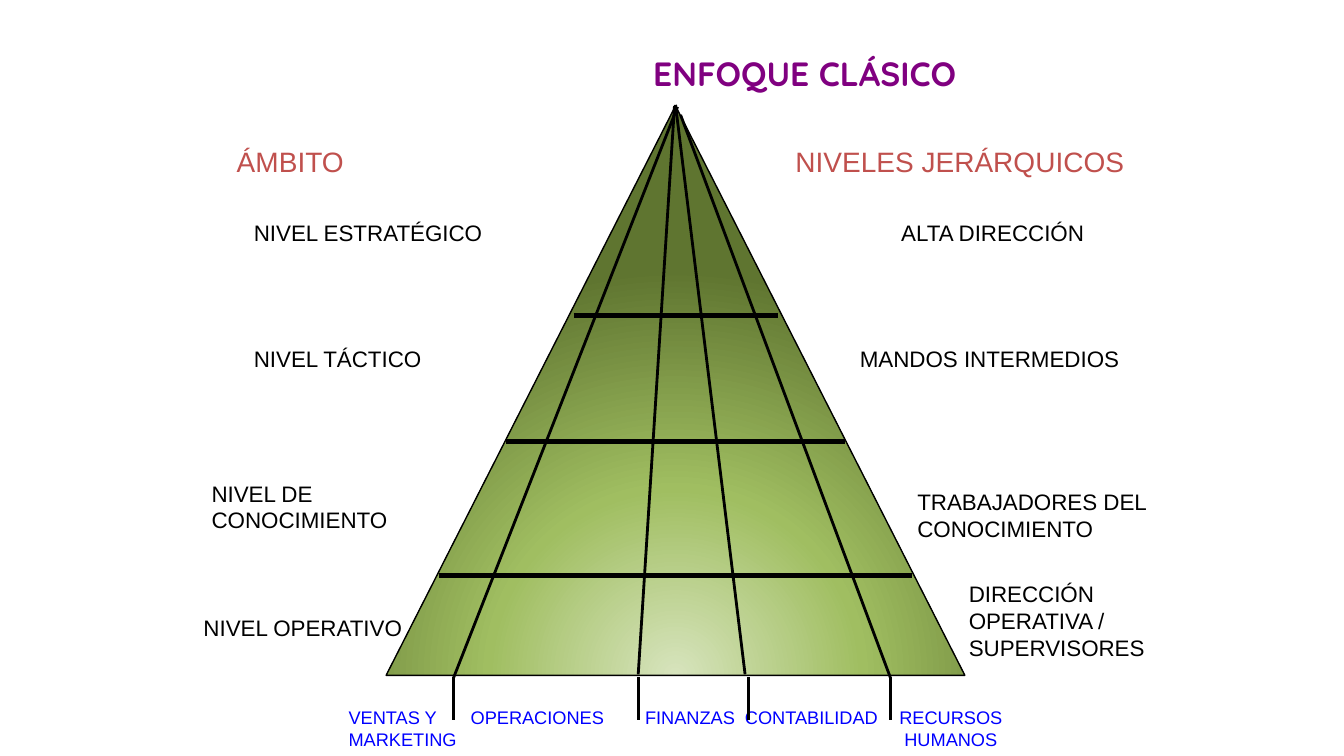
from dataclasses import dataclass

from lxml.etree import SubElement
from pptx import Presentation
from pptx.dml.color import RGBColor
from pptx.enum.shapes import MSO_CONNECTOR, MSO_SHAPE
from pptx.enum.text import MSO_ANCHOR, MSO_AUTO_SIZE, PP_ALIGN
from pptx.oxml import parse_xml
from pptx.oxml.ns import nsdecls, qn
from pptx.shapes.autoshape import Shape
from pptx.slide import Slide
from pptx.text.text import TextFrame
from pptx.util import Inches, Pt


@dataclass(frozen=True)
class Theme:
    title_font: str = "Quicksand"
    body_font: str = "Arial"
    title: str = "800080"
    heading: str = "C0504D"
    level: str = "000000"
    department: str = "0000FF"
    line: str = "000000"
    pyramid: tuple[tuple[int, str], ...] = ((0, "D7E4BD"), (46, "A0BE61"), (100, "5F7530"))
    title_size: int = 24
    heading_size: int = 20
    level_size: int = 16
    department_size: int = 13


@dataclass(frozen=True)
class Label:
    text: str
    left: float
    top: float
    width: float
    height: float = 0.36
    align: PP_ALIGN = PP_ALIGN.LEFT


@dataclass(frozen=True)
class Divider:
    apex: tuple[float, float]
    base: tuple[float, float]
    tick_x: float


@dataclass(frozen=True)
class LevelLine:
    left: float
    right: float
    y: float


THEME = Theme()
TICK_TOP, TICK_BOTTOM = 6.72, 7.14
DEPARTMENT_TOP = 6.96

HEADINGS = [
    Label("ÁMBITO", 2.25, 1.38, 2, 0.5),
    Label("NIVELES JERÁRQUICOS", 7.79, 1.38, 3.54, 0.5),
]
LEVELS = [
    Label("NIVEL ESTRATÉGICO", 2.42, 2.13, 2.8),
    Label("ALTA DIRECCIÓN", 8.84, 2.13, 2.24),
    Label("NIVEL TÁCTICO", 2.42, 3.38, 2.8),
    Label("MANDOS INTERMEDIOS", 8.43, 3.38, 2.99),
    Label("NIVEL DE CONOCIMIENTO", 2, 4.71, 2.83, 0.63),
    Label("TRABAJADORES DEL CONOCIMIENTO", 9, 4.79, 2.67, 0.63),
    Label("NIVEL OPERATIVO", 1.92, 6.04, 2.33),
    Label("DIRECCIÓN OPERATIVA / SUPERVISORES", 9.51, 5.71, 2.08, 0.91),
]
DEPARTMENTS = [
    Label("VENTAS Y MARKETING", 3.36, DEPARTMENT_TOP, 1.3, 0.53),
    Label("OPERACIONES", 4.57, DEPARTMENT_TOP, 1.6),
    Label("FINANZAS", 6.3, DEPARTMENT_TOP, 1.2),
    Label("CONTABILIDAD", 7.29, DEPARTMENT_TOP, 1.6),
    Label("RECURSOS HUMANOS", 8.78, DEPARTMENT_TOP, 1.3, 0.53, PP_ALIGN.CENTER),
]
DIVIDERS = [
    Divider((6.72, 1.06), (4.5, 6.72), 4.5),
    Divider((6.69, 1.05), (6.33, 6.69), 6.33),
    Divider((6.7, 1.04), (7.39, 6.69), 7.42),
    Divider((6.75, 1.14), (8.83, 6.72), 8.83),
]
LEVEL_LINES = [
    LevelLine(5.69, 7.72, 3.13),
    LevelLine(5.02, 8.38, 4.38),
    LevelLine(4.35, 9.05, 5.71),
]


def write(frame: TextFrame, text: str, font: str, size: int, color: str,
          align: PP_ALIGN, bold: bool = False) -> None:
    frame.word_wrap = True
    paragraph = frame.paragraphs[0]
    paragraph.alignment = align
    run = paragraph.add_run()
    run.text = text
    run.font.name = font
    run.font.size = Pt(size)
    run.font.bold = bold
    run.font.color.rgb = RGBColor.from_string(color)


def add_label(slide: Slide, label: Label, size: int, color: str) -> None:
    box = slide.shapes.add_textbox(Inches(label.left), Inches(label.top),
                                   Inches(label.width), Inches(label.height))
    write(box.text_frame, label.text, THEME.body_font, size, color, label.align)


def add_line(slide: Slide, start: tuple[float, float], end: tuple[float, float],
             width: float) -> None:
    line = slide.shapes.add_connector(MSO_CONNECTOR.STRAIGHT,
                                      Inches(start[0]), Inches(start[1]),
                                      Inches(end[0]), Inches(end[1]))
    line.line.color.rgb = RGBColor.from_string(THEME.line)
    line.line.width = Pt(width)
    SubElement(line._element.spPr, qn("a:effectLst"))


def fill_radial(shape: Shape, stops: tuple[tuple[int, str], ...]) -> None:
    stop_xml = "".join(
        f'<a:gs pos="{position * 1000}"><a:srgbClr val="{color}"/></a:gs>'
        for position, color in stops)
    radial = parse_xml(
        f'<a:gradFill {nsdecls("a")} rotWithShape="1"><a:gsLst>{stop_xml}</a:gsLst>'
        '<a:path path="circle"><a:fillToRect l="50000" t="130000" r="50000" b="-30000"/>'
        '</a:path></a:gradFill>')
    shape.fill.gradient()
    properties = shape._element.spPr
    properties.replace(properties.find(qn("a:gradFill")), radial)


def add_title(slide: Slide) -> None:
    title = slide.shapes.title
    title.left, title.top = Inches(5.28), Inches(0.47)
    title.width, title.height = Inches(5.4), Inches(0.5)
    title.text_frame.auto_size = MSO_AUTO_SIZE.NONE
    title.text_frame.vertical_anchor = MSO_ANCHOR.MIDDLE
    write(title.text_frame, "ENFOQUE CLÁSICO", THEME.title_font, THEME.title_size,
          THEME.title, PP_ALIGN.CENTER, bold=True)


def add_pyramid(slide: Slide) -> None:
    pyramid = slide.shapes.add_shape(MSO_SHAPE.ISOSCELES_TRIANGLE, Inches(3.83),
                                     Inches(1.05), Inches(5.74), Inches(5.65))
    pyramid.shadow.inherit = False
    fill_radial(pyramid, THEME.pyramid)
    pyramid.line.color.rgb = RGBColor.from_string(THEME.line)
    pyramid.line.width = Pt(1)

    # Department dividers, each with its tick below the base
    for divider in DIVIDERS:
        add_line(slide, divider.apex, divider.base, 2)
        add_line(slide, (divider.tick_x, TICK_TOP), (divider.tick_x, TICK_BOTTOM), 2)

    # Boundaries between levels
    for level in LEVEL_LINES:
        add_line(slide, (level.left, level.y), (level.right, level.y), 4)


def main() -> None:
    deck = Presentation()
    deck.slide_width, deck.slide_height = Inches(13.33), Inches(7.5)
    slide = deck.slides.add_slide(deck.slide_layouts.get_by_name("Title Only"))

    add_title(slide)

    # Labels around the pyramid
    for labels, size, color in (
        (HEADINGS, THEME.heading_size, THEME.heading),
        (LEVELS, THEME.level_size, THEME.level),
        (DEPARTMENTS, THEME.department_size, THEME.department),
    ):
        for label in labels:
            add_label(slide, label, size, color)

    add_pyramid(slide)
    deck.save("out.pptx")


if __name__ == "__main__":
    main()
